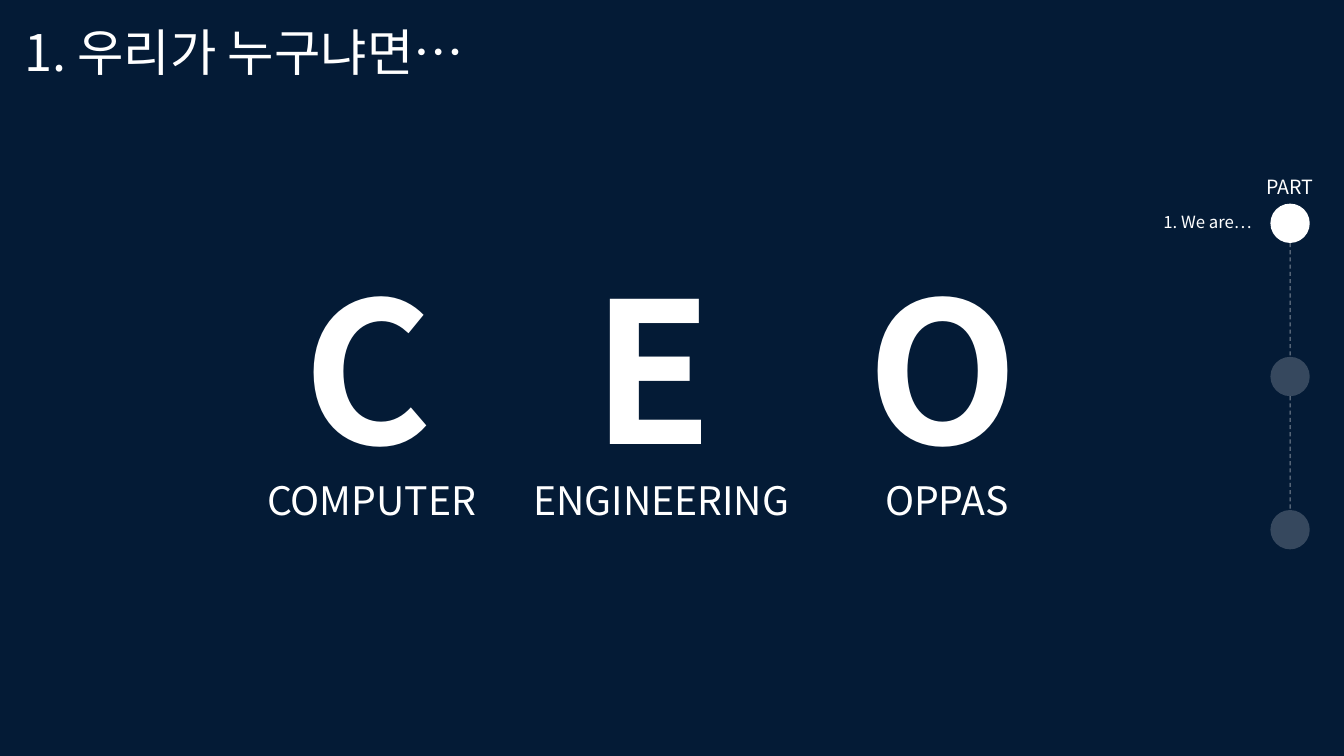
from dataclasses import dataclass

import lxml.etree
import pptx
import pptx.dml.color
import pptx.enum.dml
import pptx.enum.shapes
import pptx.enum.text
import pptx.oxml.ns
import pptx.slide
import pptx.text.text
import pptx.util

Inches = pptx.util.Inches
NAVY = pptx.dml.color.RGBColor(0x04, 0x1B, 0x36)
WHITE = pptx.dml.color.RGBColor(0xFF, 0xFF, 0xFF)
FONT = "Noto Sans CJK KR"

DOT_LEFT = 12.6
DOT_SIZE = 0.39
DOT_TOP = 2.02
DOT_STEP = 1.52
DOT_COUNT = 3
LETTER_TOP = 2.42
WORD_TOP = 4.68


@dataclass
class Label:
    text: str
    left: float
    top: float
    width: float
    height: float
    size: int
    bold: bool = False
    wrap: bool = True


@dataclass
class Initial:
    letter: str
    letter_left: float
    word: str
    word_left: float


TITLE = Label("1. 우리가 누구냐면…", 0.14, 0.16, 6.43, 0.71, 36)
PART_LABELS = [
    Label("PART", 12.46, 1.69, 0.67, 0.34, 14, wrap=False),
    Label("1. We are…", 11.44, 2.05, 1.1, 0.3, 12, wrap=False),
]
INITIALS = [
    Initial("C", 2.91, "COMPUTER", 2.55),
    Initial("E", 5.78, "ENGINEERING", 5.19),
    Initial("O", 8.51, "OPPAS", 8.68),
]


def set_alpha(properties: lxml.etree._Element, percent: int) -> None:
    color = properties.find(".//" + pptx.oxml.ns.qn("a:srgbClr"))
    alpha = lxml.etree.SubElement(color, pptx.oxml.ns.qn("a:alpha"))
    alpha.set("val", str(percent * 1000))


def write_text(frame: pptx.text.text.TextFrame, label: Label) -> None:
    frame.word_wrap = label.wrap
    frame.auto_size = pptx.enum.text.MSO_AUTO_SIZE.SHAPE_TO_FIT_TEXT
    frame.vertical_anchor = pptx.enum.text.MSO_ANCHOR.TOP
    frame.text = label.text
    para = frame.paragraphs[0]
    para.alignment = pptx.enum.text.PP_ALIGN.LEFT
    font = para.font
    font.name = FONT
    font.size = pptx.util.Pt(label.size)
    font.bold = label.bold
    font.color.rgb = WHITE
    properties = para._p.pPr.find(pptx.oxml.ns.qn("a:defRPr"))
    east_asian = lxml.etree.SubElement(properties, pptx.oxml.ns.qn("a:ea"))
    east_asian.set("typeface", FONT)


def add_title(page: pptx.slide.Slide, label: Label) -> None:
    title = page.shapes.title
    title.left, title.top = Inches(label.left), Inches(label.top)
    title.width, title.height = Inches(label.width), Inches(label.height)
    write_text(title.text_frame, label)


def add_label(page: pptx.slide.Slide, label: Label) -> None:
    box = page.shapes.add_textbox(
        Inches(label.left), Inches(label.top), Inches(label.width), Inches(label.height)
    )
    write_text(box.text_frame, label)


def add_dot(page: pptx.slide.Slide, top: float, active: bool) -> None:
    dot = page.shapes.add_shape(
        pptx.enum.shapes.MSO_SHAPE.OVAL,
        Inches(DOT_LEFT), Inches(top), Inches(DOT_SIZE), Inches(DOT_SIZE),
    )
    dot.shadow.inherit = False
    dot.fill.solid()
    dot.fill.fore_color.rgb = WHITE
    dot.line.fill.background()
    if not active:
        set_alpha(dot._element.spPr, 20)


def add_link(page: pptx.slide.Slide, start: float, end: float) -> None:
    center = Inches(DOT_LEFT + DOT_SIZE / 2)
    link = page.shapes.add_connector(
        pptx.enum.shapes.MSO_CONNECTOR.STRAIGHT,
        center, Inches(start), center, Inches(end),
    )
    link.line.color.rgb = WHITE
    link.line.width = pptx.util.Pt(0.75)
    link.line.dash_style = pptx.enum.dml.MSO_LINE.DASH
    properties = link._element.spPr
    set_alpha(properties, 50)
    lxml.etree.SubElement(properties, pptx.oxml.ns.qn("a:effectLst"))


def main() -> None:
    deck = pptx.Presentation()
    deck.slide_width, deck.slide_height = Inches(13.33), Inches(7.5)
    page = deck.slides.add_slide(deck.slide_layouts[5])
    page.background.fill.solid()
    page.background.fill.fore_color.rgb = NAVY

    add_title(page, TITLE)
    for index in range(DOT_COUNT):
        top = DOT_TOP + index * DOT_STEP
        add_dot(page, top, active=index == 0)
        if index < DOT_COUNT - 1:
            add_link(page, top + DOT_SIZE, top + DOT_STEP)
    for label in PART_LABELS:
        add_label(page, label)
    for initial in INITIALS:
        add_label(page, Label(initial.letter, initial.letter_left, LETTER_TOP, 2.87, 2.46, 140, bold=True))
        add_label(page, Label(initial.word, initial.word_left, WORD_TOP, 3.32, 0.57, 28))

    deck.save("out.pptx")


if __name__ == "__main__":
    main()
